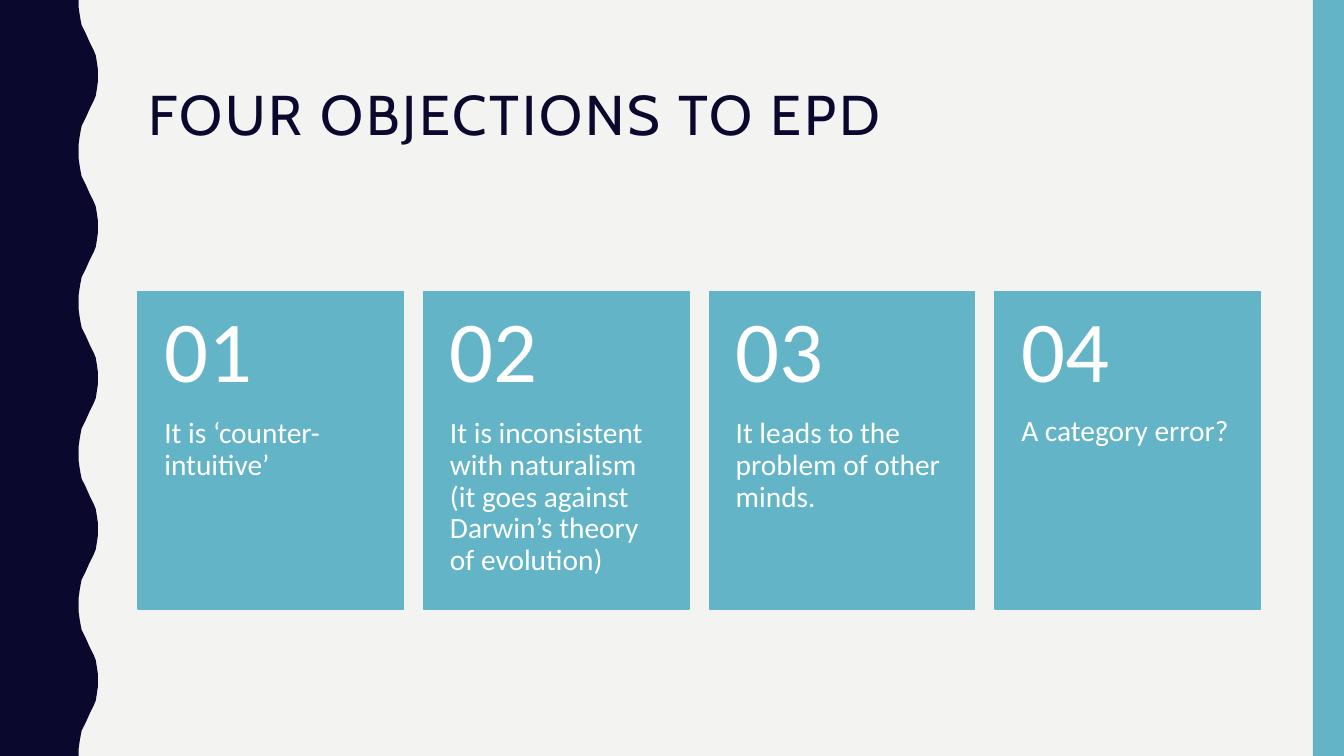
from pptx import Presentation
from pptx.dml.color import RGBColor
from pptx.enum.shapes import MSO_SHAPE
from pptx.enum.text import MSO_ANCHOR, PP_ALIGN
from pptx.util import Inches, Pt

COLORS = {"paper": "F3F3F2", "navy": "0B082E", "teal": "62B4C6", "white": "FFFFFF"}
OBJECTIONS = [
    "It is ‘counter-intuitive’",
    "It is inconsistent with naturalism (it goes against Darwin’s theory of evolution)",
    "It leads to the problem of other minds.",
    "A category error?",
]


def paint(sp, color):
    sp.shadow.inherit = False
    sp.fill.solid()
    sp.fill.fore_color.rgb = RGBColor.from_string(COLORS[color])
    sp.line.fill.background()


def write(sp, text, font, size, color, anchor, margins):
    tf = sp.text_frame
    tf.word_wrap = True
    tf.vertical_anchor = anchor
    tf.margin_left = tf.margin_right = Inches(margins[0])
    tf.margin_top, tf.margin_bottom = Inches(margins[1]), Inches(margins[2])
    p = tf.paragraphs[0]
    p.text = text
    p.alignment = PP_ALIGN.LEFT
    p.line_spacing = 0.9
    r = p.runs[0]
    r.font.name = font
    r.font.size = Pt(size)
    r.font.color.rgb = RGBColor.from_string(COLORS[color])
    return r


prs = Presentation()
prs.slide_width, prs.slide_height = Inches(13.33), Inches(7.5)
s = prs.slides.add_slide(prs.slide_layouts[5])
s.background.fill.solid()
s.background.fill.fore_color.rgb = RGBColor.from_string(COLORS["paper"])

# Wavy left edge: one half wave, mirrored and repeated
half_wave = [(0.78, 0), (0.78, 0.07), (0.79, 0.14), (0.8, 0.2), (0.81, 0.25),
             (0.83, 0.29), (0.85, 0.33), (0.89, 0.42), (0.91, 0.46), (0.93, 0.5),
             (0.95, 0.55), (0.96, 0.61), (0.97, 0.68), (0.97, 0.75)]
wave = half_wave + [(x, 1.5 - y) for x, y in reversed(half_wave[:-1])]
edge = [(Inches(x), Inches(1.5 * i + y)) for i in range(5) for x, y in wave]
builder = s.shapes.build_freeform(0, 0)
builder.add_line_segments(edge + [(0, Inches(7.5))], close=True)
paint(builder.convert_to_shape(), "navy")

# Right band
band = s.shapes.add_shape(MSO_SHAPE.RECTANGLE, Inches(13.02), 0, Inches(0.31), Inches(7.5))
paint(band, "teal")

# Title
title = s.shapes.title
title.left, title.top = Inches(1.37), Inches(0.81)
title.width, title.height = Inches(11.13), Inches(1.24)
r = write(title, "FOUR OBJECTIONS TO EPD", "Cabin", 40, "navy",
          MSO_ANCHOR.TOP, (0.1, 0.05, 0.05))
r.font._element.set("spc", "200")

# Numbered cards, spread evenly under the title
card_width = 2.63
pitch = (11.13 - card_width) / (len(OBJECTIONS) - 1)
for i, objection in enumerate(OBJECTIONS):
    left, width = Inches(1.37 + i * pitch), Inches(card_width)
    card = s.shapes.add_shape(MSO_SHAPE.RECTANGLE, left, Inches(2.89), width, Inches(3.15))
    paint(card, "teal")
    card.line.color.rgb = RGBColor.from_string(COLORS["teal"])
    card.line.width = Pt(1)
    body = s.shapes.add_textbox(left, Inches(4.15), width, Inches(1.89))
    write(body, objection, "Calibri", 21, "white", MSO_ANCHOR.TOP, (0.26, 0, 0.36))
    number = s.shapes.add_textbox(left, Inches(2.89), width, Inches(1.26))
    write(number, f"{i + 1:02}", "Calibri", 62, "white", MSO_ANCHOR.MIDDLE, (0.26, 0.18, 0.18))

prs.save("out.pptx")
